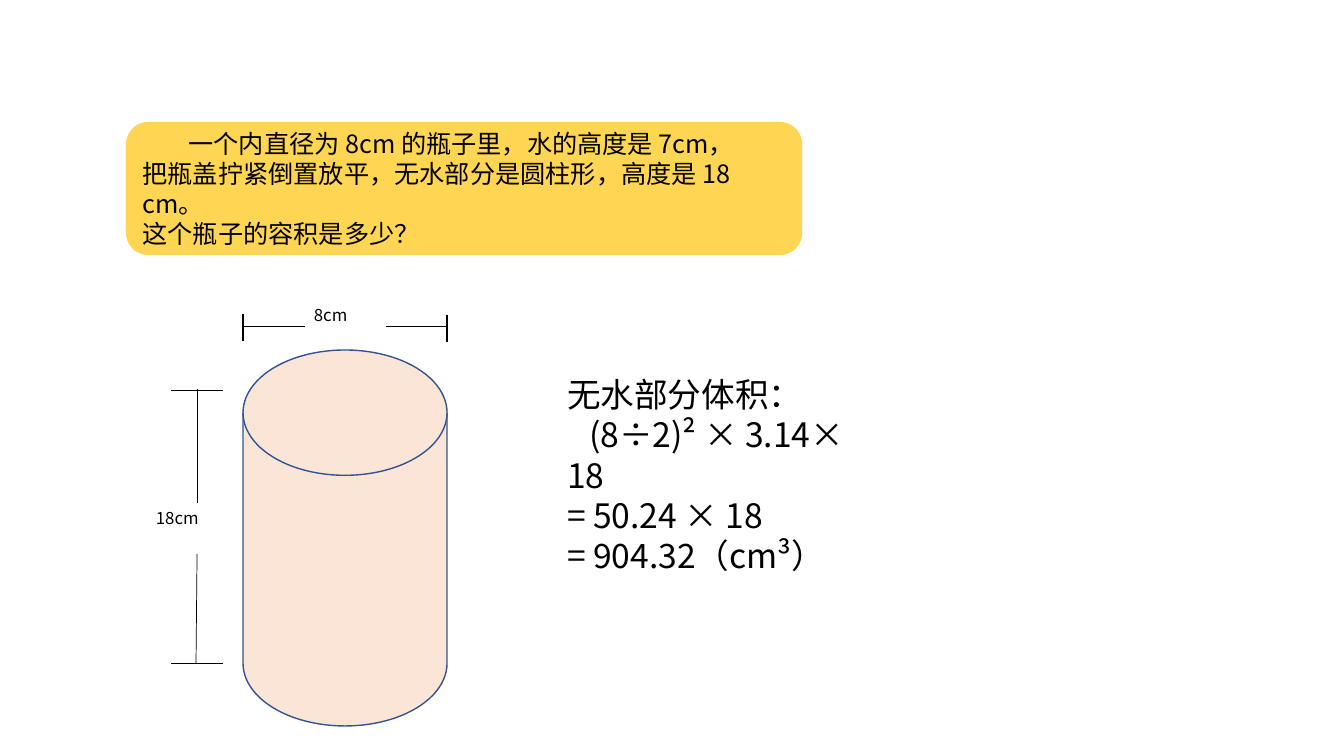
from lxml import etree
from pptx import Presentation, util as u
from pptx.dml.color import RGBColor
from pptx.enum import shapes, text
from pptx.oxml.ns import qn

FONT = "Noto Sans CJK SC"
BLACK = "000000"
SCALE = u.Inches(1) / 100.8


def px(n):
    return round(n * SCALE)


def color(fmt, code):
    fmt.rgb = RGBColor.from_string(code)


def write(frame, lines, size):
    """Fill a frame with (text, first-line indent) pairs."""
    for i, (words, indent) in enumerate(lines):
        para = frame.paragraphs[0] if i == 0 else frame.add_paragraph()
        para.text = words
        para.alignment = text.PP_ALIGN.LEFT
        para.line_spacing = u.Pt(size * 1.2)
        font = para.font
        font.size = u.Pt(size)
        color(font.color, BLACK)
        font.name = FONT
        props = para._p.get_or_add_pPr()
        etree.SubElement(props.find(qn("a:defRPr")), qn("a:ea"), typeface=FONT)
        if indent:
            props.set("marL", "0")
            props.set("indent", str(px(indent)))


def label(slide, box, lines, size):
    frame = slide.shapes.add_textbox(*map(px, box)).text_frame
    frame.word_wrap = True
    write(frame, lines, size)


def rule(slide, ends, width=0.5):
    line = slide.shapes.add_connector(shapes.MSO_CONNECTOR.STRAIGHT, *map(px, ends))
    color(line.line.color, BLACK)
    line.line.width = u.Pt(width)
    etree.SubElement(line._element.spPr, qn("a:effectLst"))


def solid(slide, kind, box, fill, edge=None):
    shape = slide.shapes.add_shape(kind, *map(px, box))
    shape.shadow.inherit = False
    shape.fill.solid()
    color(shape.fill.fore_color, fill)
    if edge:
        color(shape.line.color, edge)
        shape.line.width = u.Pt(1)
    else:
        shape.line.fill.background()
    return shape


def main():
    deck = Presentation()
    deck.slide_width, deck.slide_height = u.Inches(13.33), u.Inches(7.5)
    slide = deck.slides.add_slide(deck.slide_layouts[6])
    kinds = shapes.MSO_SHAPE

    # Diameter mark
    label(slide, (304, 300, 87, 51), [("8cm", 0)], 12)
    for x, top in ((243, 314), (447, 315)):
        rule(slide, (x, top, x, top + 27), 1)
    for x in (243, 386):
        rule(slide, (x, 326, x + 62, 326))

    # Height mark
    label(slide, (146, 503, 102, 51), [("18cm", 0)], 12)
    for y in (390, 663):
        rule(slide, (171, y, 223, y))
    rule(slide, (197, 389, 197, 503))
    rule(slide, (197, 554, 196, 663))

    # Cylinder
    solid(slide, kinds.FLOWCHART_MAGNETIC_DISK, (243, 350, 204, 376),
          "FBE5D6", "325491")

    # Working
    label(slide, (557, 369, 308, 214), [
        ("无水部分体积：", 0),
        ("(8÷2)² × 3.14× 18", 22),
        ("= 50.24 × 18", 0),
        ("= 904.32（cm³）", 0)], 24)

    # Question
    card = solid(slide, kinds.ROUNDED_RECTANGLE, (126, 122, 676, 133), "FFD653")
    card.text_frame.vertical_anchor = text.MSO_ANCHOR.MIDDLE
    write(card.text_frame, [
        ("一个内直径为 8cm 的瓶子里，水的高度是 7cm，", 46),
        ("把瓶盖拧紧倒置放平，无水部分是圆柱形，高度是 18 cm。", 0),
        ("这个瓶子的容积是多少？", 0)], 18)

    deck.save("out.pptx")


main()
